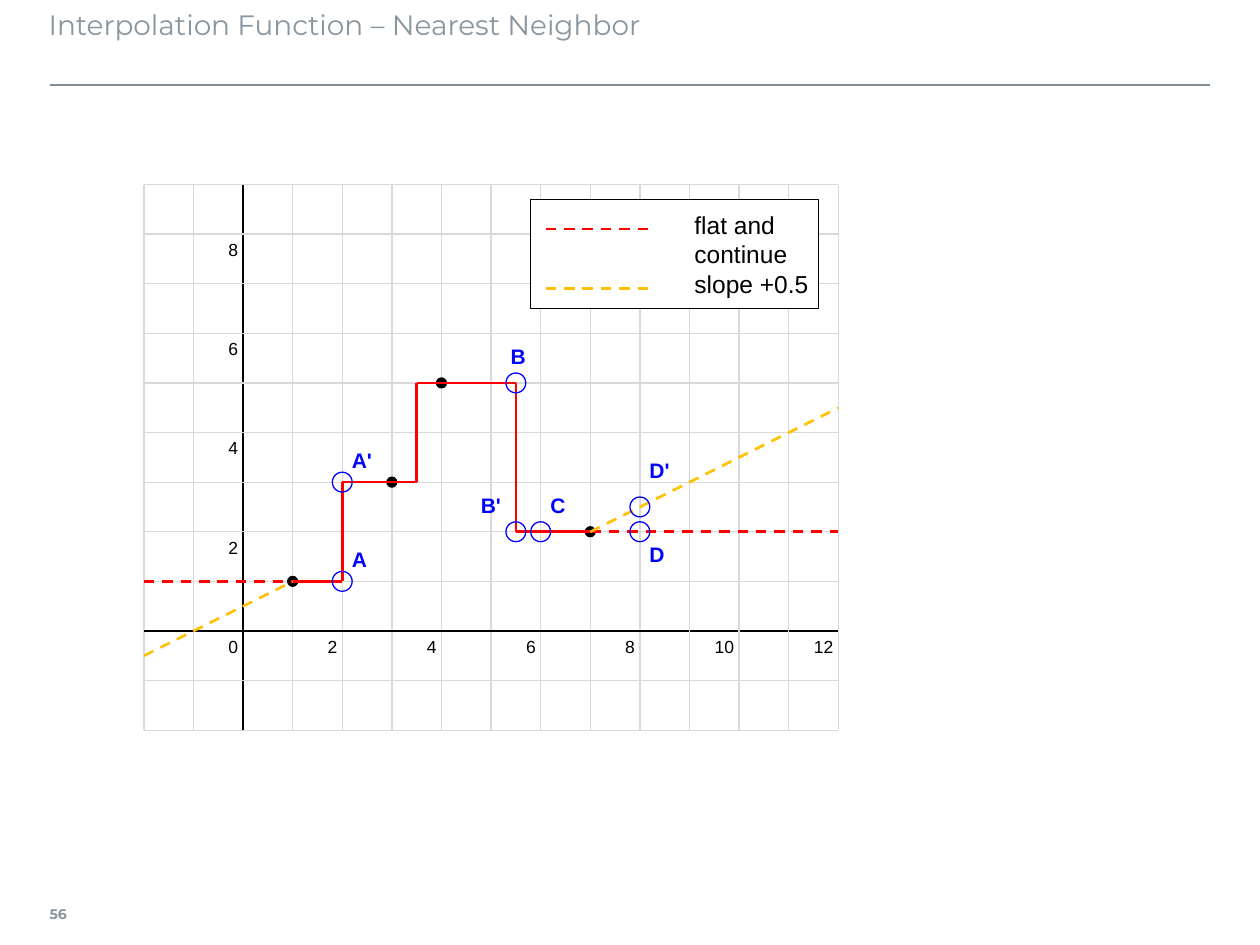
from dataclasses import dataclass

from lxml.etree import SubElement
from pptx import Presentation
from pptx.dml.color import RGBColor
from pptx.enum.dml import MSO_LINE
from pptx.enum.shapes import MSO_CONNECTOR, MSO_SHAPE
from pptx.enum.text import MSO_ANCHOR, PP_ALIGN
from pptx.oxml.ns import qn
from pptx.util import Cm, Pt

COLORS = {
    "black": "000000", "white": "FFFFFF", "grid": "D9D9D9", "rule": "808D97",
    "gray": "8996A0", "red": "FF0000", "amber": "FFC000", "blue": "0000FF",
}
ORIGIN_X, ORIGIN_Y = 4.9, 12.72
X_MIN, X_MAX, Y_MIN, Y_MAX = -2, 12, -2, 9

TITLE = {"name": "Montserrat", "size": Pt(16), "bold": False}
PAGE = {"name": "Montserrat", "size": Pt(8), "bold": True}
TICK = {"name": "Arial", "size": Pt(10), "bold": False}
LABEL = {"name": "Arial", "size": Pt(12), "bold": True}
LEGEND = {"name": "Arial", "size": Pt(14), "bold": False}


@dataclass
class Segment:
    x1: float
    y1: float
    x2: float
    y2: float
    color: str
    width: float = 1.5
    dashed: bool = False


@dataclass
class Dot:
    x: float
    y: float
    size: float
    line: str
    fill: str = ""


@dataclass
class Label:
    text: str
    right: float
    top: float


def rgb(color: str) -> RGBColor:
    return RGBColor.from_string(COLORS[color])


def px(x: float) -> Cm:
    return Cm(ORIGIN_X + x)


def py(y: float) -> Cm:
    return Cm(ORIGIN_Y - y)


def set_attrs(obj, values: dict) -> None:
    for key, value in values.items():
        setattr(obj, key, value)


def set_frame(tf, left: float, top: float, right: float, bottom: float,
              anchor=MSO_ANCHOR.TOP, wrap: bool = False) -> None:
    set_attrs(tf, {
        "margin_left": Cm(left), "margin_top": Cm(top),
        "margin_right": Cm(right), "margin_bottom": Cm(bottom),
        "vertical_anchor": anchor, "word_wrap": wrap,
    })


def write(p, text: str, font: dict, color: str, align=PP_ALIGN.LEFT) -> None:
    p.alignment = align
    r = p.add_run()
    r.text = text
    set_attrs(r.font, font)
    r.font.color.rgb = rgb(color)


def draw_line(shapes, x1, y1, x2, y2, color: str, width: float, dashed: bool = False) -> None:
    cx = shapes.add_connector(MSO_CONNECTOR.STRAIGHT, x1, y1, x2, y2)
    cx.line.color.rgb = rgb(color)
    cx.line.width = Pt(width)
    if dashed:
        cx.line.dash_style = MSO_LINE.DASH
    SubElement(cx._element.spPr, qn("a:effectLst"))


def draw_segment(shapes, seg: Segment) -> None:
    draw_line(shapes, px(seg.x1), py(seg.y1), px(seg.x2), py(seg.y2),
              seg.color, seg.width, seg.dashed)


def draw_shape(shapes, kind, left, top, width, height, line: str, fill: str = ""):
    sp = shapes.add_shape(kind, left, top, width, height)
    sp.shadow.inherit = False
    sp.line.color.rgb = rgb(line)
    sp.line.width = Pt(0.75)
    if fill:
        sp.fill.solid()
        sp.fill.fore_color.rgb = rgb(fill)
    else:
        sp.fill.background()
    return sp


def draw_dot(shapes, dot: Dot) -> None:
    half = dot.size / 2
    draw_shape(shapes, MSO_SHAPE.OVAL, px(dot.x - half), py(dot.y + half),
               Cm(dot.size), Cm(dot.size), dot.line, dot.fill)


def draw_label(shapes, label: Label, font: dict, color: str) -> None:
    box = shapes.add_textbox(px(label.right - 0.6), py(label.top), Cm(0.6), Cm(0.8))
    set_frame(box.text_frame, 0, 0.1, 0.1, 0.1)
    write(box.text_frame.paragraphs[0], label.text, font, color, PP_ALIGN.RIGHT)


def grid_style(value: int) -> tuple:
    return ("grid", 0.75) if value else ("black", 1.5)


def column(x: int) -> Segment:
    return Segment(x, Y_MAX, x, Y_MIN, *grid_style(x))


def row(y: int) -> Segment:
    return Segment(X_MAX, y, X_MIN, y, *grid_style(y))


def draw_legend(shapes) -> None:
    box = draw_shape(shapes, MSO_SHAPE.RECTANGLE, px(5.8), py(8.7), Cm(5.8), Cm(2.2),
                     "black", "white")
    tf = box.text_frame
    set_frame(tf, 3.3, 0.1, 0.1, 0.1, MSO_ANCHOR.MIDDLE)
    for i, text in enumerate(["flat and", "continue", "slope +0.5"]):
        p = tf.add_paragraph() if i else tf.paragraphs[0]
        write(p, text, LEGEND, "black")
    for y, color in [(8.1, "red"), (6.9, "amber")]:
        draw_segment(shapes, Segment(6.1, y, 8.2, y, color, dashed=True))


def main() -> None:
    prs = Presentation()
    prs.slide_width, prs.slide_height = Cm(25.4), Cm(19.05)
    s = prs.slides.add_slide(prs.slide_layouts[5])
    shapes = s.shapes

    title = shapes.title
    set_attrs(title, {"left": Cm(0.98), "top": Cm(0.03), "width": Cm(23.4), "height": Cm(1.6)})
    set_frame(title.text_frame, 0, 0.13, 0.25, 0.13, wrap=True)
    write(title.text_frame.paragraphs[0], "Interpolation Function – Nearest Neighbor", TITLE, "gray")
    draw_line(shapes, Cm(1), Cm(1.72), Cm(24.4), Cm(1.72), "rule", 1)

    page = shapes.add_textbox(Cm(1), Cm(17.93), Cm(0.9), Cm(1))
    set_frame(page.text_frame, 0, 0.13, 0.2, 0.13, MSO_ANCHOR.MIDDLE)
    write(page.text_frame.paragraphs[0], "56", PAGE, "gray")

    grid = [column(x) for x in range(X_MIN, Y_MAX)]
    grid += [row(y) for y in range(Y_MAX, Y_MIN - 1, -1)]
    grid += [column(x) for x in range(Y_MAX, X_MAX + 1)]
    for seg in grid:
        draw_segment(shapes, seg)

    ticks = [Label(str(x), x, 0) for x in range(0, X_MAX + 1, 2)]
    ticks += [Label(str(y), 0, y) for y in range(2, Y_MAX, 2)]
    for tick in ticks:
        draw_label(shapes, tick, TICK, "black")

    for x, y in [(1, 1), (3, 3), (4, 5), (7, 2)]:
        draw_dot(shapes, Dot(x, y, 0.2, "black", "black"))

    steps = [(1, 1), (2, 1), (2, 3), (3.5, 3), (3.5, 5), (5.5, 5), (5.5, 2), (7, 2)]
    curve = [Segment(*a, *b, "red") for a, b in zip(steps, steps[1:])]
    curve += [
        Segment(X_MIN, 1, 1, 1, "red", dashed=True),
        Segment(7, 2, X_MAX, 2, "red", dashed=True),
        Segment(X_MIN, -0.5, 1, 1, "amber", dashed=True),
        Segment(7, 2, X_MAX, 4.5, "amber", dashed=True),
    ]
    for seg in curve:
        draw_segment(shapes, seg)

    for x, y in [(2, 1), (2, 3), (5.5, 5), (5.5, 2), (6, 2), (8, 2), (8, 2.5)]:
        draw_dot(shapes, Dot(x, y, 0.4, "blue"))

    labels = [
        Label("A", 2.6, 1.8), Label("A'", 2.7, 3.8), Label("B", 5.8, 5.9),
        Label("B'", 5.3, 2.9), Label("C", 6.6, 2.9), Label("D", 8.6, 1.9),
        Label("D'", 8.7, 3.6),
    ]
    for label in labels:
        draw_label(shapes, label, LABEL, "blue")

    draw_legend(shapes)
    prs.save("out.pptx")


if __name__ == "__main__":
    main()
